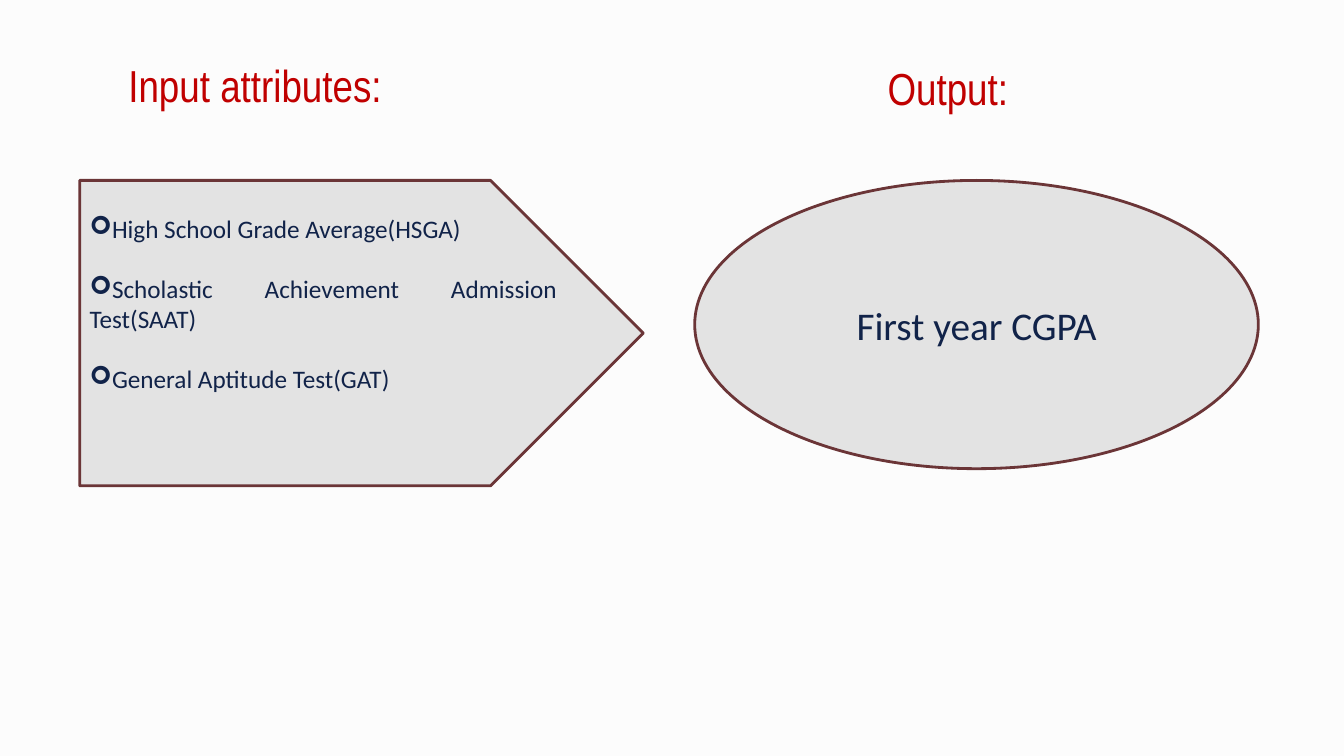
from dataclasses import dataclass

from lxml import etree
from pptx import Presentation
from pptx.dml.color import RGBColor
from pptx.enum.shapes import MSO_SHAPE
from pptx.enum.text import MSO_ANCHOR, PP_ALIGN
from pptx.oxml.ns import qn
from pptx.util import Inches, Pt

PLATE, OVAL = MSO_SHAPE.PENTAGON, MSO_SHAPE.OVAL
TOP, MIDDLE, BOTTOM = MSO_ANCHOR.TOP, MSO_ANCHOR.MIDDLE, MSO_ANCHOR.BOTTOM
CENTER, JUSTIFY = PP_ALIGN.CENTER, PP_ALIGN.JUSTIFY


@dataclass
class Theme:
    back = RGBColor(0xFC, 0xFC, 0xFC)
    fill = RGBColor(0xE3, 0xE3, 0xE3)
    line = RGBColor(0x6B, 0x35, 0x37)
    ink = RGBColor(0x11, 0x23, 0x49)
    red = RGBColor(0xC0, 0x00, 0x00)
    head_font = "Arial Narrow"
    body_font = "Calibri"
    head_size = Pt(32)
    goal_size = Pt(28)
    item_size = Pt(18)
    gap = Pt(21)


theme = Theme()


def write(para, text, align, font, size, color):
    para.alignment = align
    run = para.add_run()
    run.text = text
    run.font.name = font
    run.font.size = size
    run.font.color.rgb = color


def panel(kind, left, height):
    """Add an outlined grey shape and return its text frame."""
    shape = slide.shapes.add_shape(
        kind, Inches(left), Inches(1.79), Inches(5.59), Inches(height))
    shape.shadow.inherit = False
    shape.fill.solid()
    shape.fill.fore_color.rgb = theme.fill
    shape.line.color.rgb = theme.line
    shape.line.width = Pt(2)
    shape.text_frame.word_wrap = True
    return shape.text_frame


deck = Presentation()
deck.slide_width, deck.slide_height = Inches(13.33), Inches(7.5)
slide = deck.slides.add_slide(deck.slide_layouts[6])
slide.background.fill.solid()
slide.background.fill.fore_color.rgb = theme.back

# Headings
for text, left, top, height, anchor in (
        ("Output:", 6.98, 0.52, 0.69, MIDDLE),
        ("Input attributes:", 0.11, 0, 1.21, BOTTOM)):
    box = slide.shapes.add_textbox(
        Inches(left), Inches(top), Inches(4.72), Inches(height))
    frame = box.text_frame
    frame.word_wrap = True
    frame.vertical_anchor = anchor
    frame.margin_left = Inches(0.22)
    frame.margin_right = frame.margin_top = frame.margin_bottom = Inches(0.1)
    write(frame.paragraphs[0], text, CENTER,
          theme.head_font, theme.head_size, theme.red)

# Input list
frame = panel(PLATE, 0.79, 3.03)
frame.vertical_anchor = TOP
frame.margin_top = Inches(0.33)
items = ("High School Grade Average(HSGA)",
         "Scholastic Achievement Admission Test(SAAT)",
         "General Aptitude Test(GAT)")
for i, text in enumerate(items):
    para = frame.add_paragraph() if i else frame.paragraphs[0]
    if i:
        para.space_before = theme.gap
    props = para._p.get_or_add_pPr()
    etree.SubElement(props, qn("a:buFont")).set("typeface", "Wingdings")
    etree.SubElement(props, qn("a:buChar")).set("char", "➢")
    write(para, text, JUSTIFY, theme.body_font, theme.item_size, theme.ink)

# Output
frame = panel(OVAL, 6.89, 2.86)
frame.vertical_anchor = MIDDLE
write(frame.paragraphs[0], "First year CGPA", CENTER,
      theme.body_font, theme.goal_size, theme.ink)

deck.save("out.pptx")
